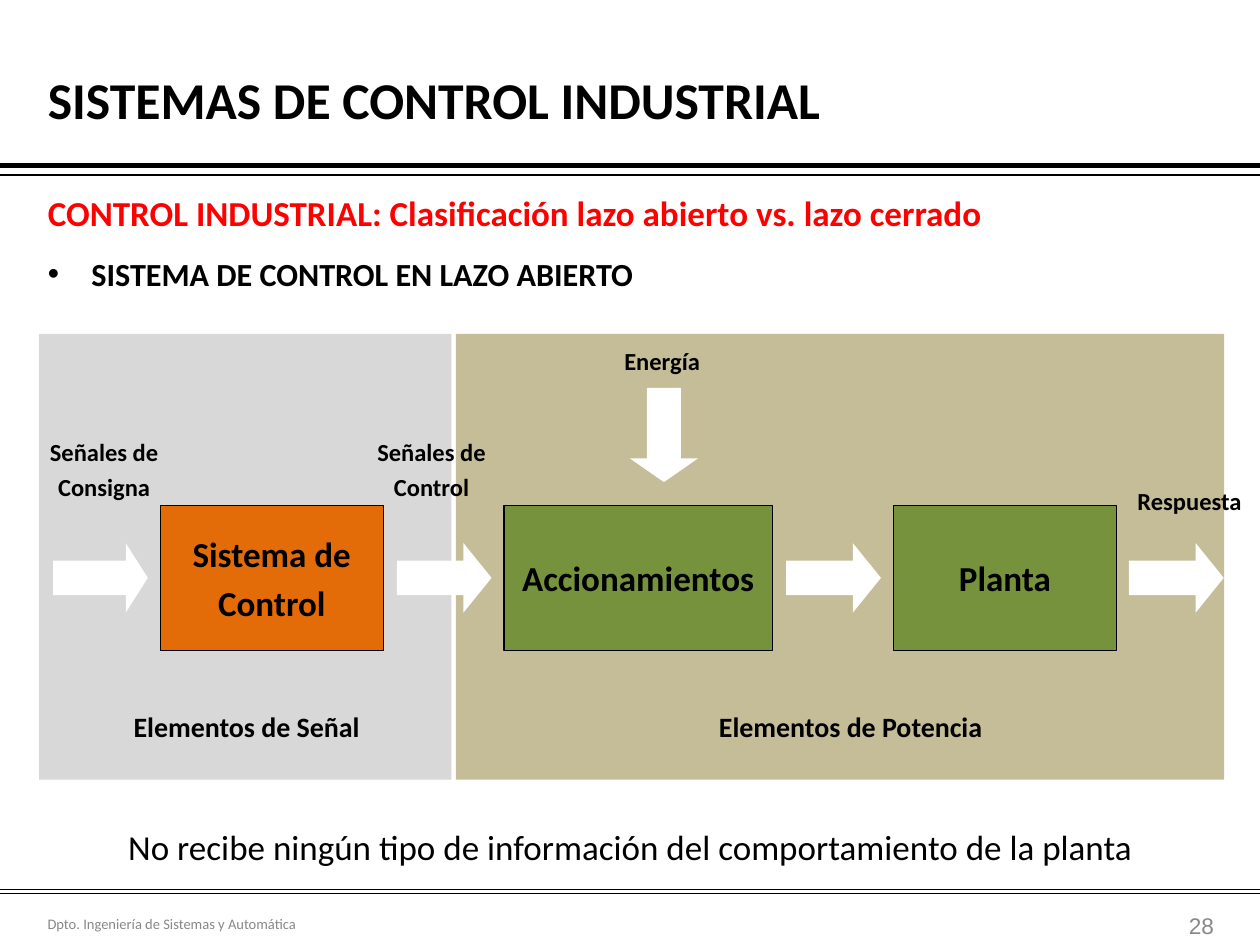
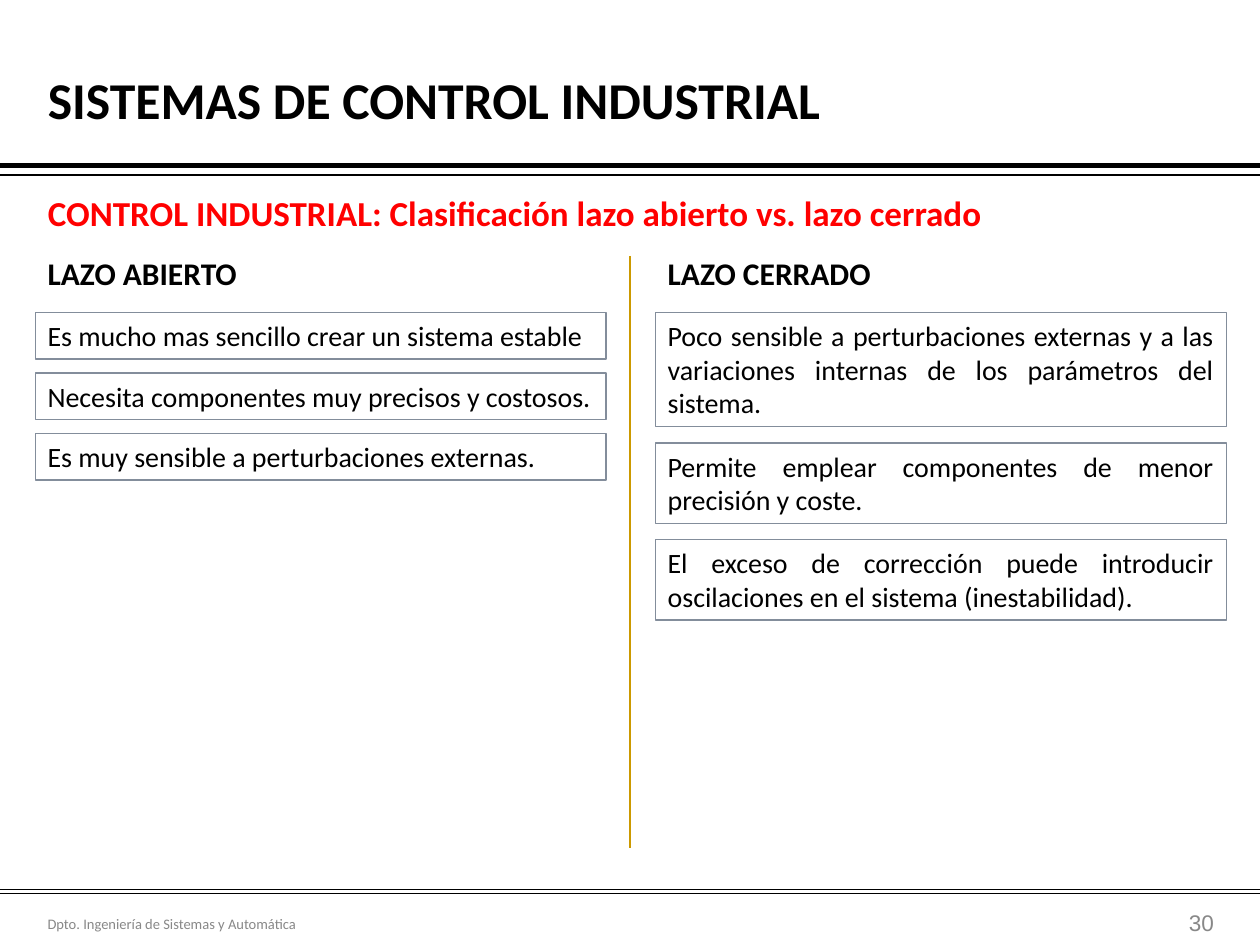
from lxml.etree import SubElement
from pptx import Presentation
from pptx.dml.color import RGBColor
from pptx.enum.shapes import MSO_CONNECTOR, MSO_SHAPE
from pptx.enum.text import MSO_ANCHOR, MSO_AUTO_SIZE, PP_ALIGN
from pptx.oxml.ns import qn
from pptx.util import Cm, Pt

BLACK, WHITE, RED, GREY = "000000", "FFFFFF", "FF0000", "888888"
SIGNAL_ZONE, POWER_ZONE = "D8D8D8", "C4BD97"
ORANGE, GREEN = "E36C09", "76923C"
CARD_BORDER, DIVIDER = "838D9B", "CC9900"
LEFT, WIDTH = 0.71, 24
RULES = ((3.33, 3), (3.53, 0.75), (17.93, 0.75), (18.01, 0.75))


def rgb(code):
    return RGBColor.from_string(code)


def lengths(*values):
    return [Cm(value) for value in values]


class Deck:
    """Holds the shared style and the slide being drawn."""

    def __init__(self):
        self.presentation = Presentation()
        self.presentation.slide_width = Cm(25.4)
        self.presentation.slide_height = Cm(19.05)
        self.slide = None

    def new_slide(self, layout, page, page_top):
        self.slide = self.presentation.slides.add_slide(
            self.presentation.slide_layouts[layout])
        # Shared title, subtitle, rules and footer
        self.placeholder(0, "SISTEMAS DE CONTROL INDUSTRIAL",
                         (LEFT, 0.74, WIDTH, 2.49), 29.5, anchor=MSO_ANCHOR.MIDDLE)
        self.placeholder(1, "CONTROL INDUSTRIAL: Clasificación lazo abierto vs. lazo cerrado",
                         (LEFT, 3.73, WIDTH, 1.09), 20, RED, bullet="")
        for y, weight in RULES:
            self.line((0, y), (25.4, y), BLACK, weight)
        self.label("Dpto. Ingeniería de Sistemas y Automática",
                   (LEFT, 18.11, 9.4, 1.02), 8.3, GREY, bold=False,
                   align=PP_ALIGN.LEFT, anchor=MSO_ANCHOR.MIDDLE)
        self.label(page, (22.71, page_top, 2.01, 0.71), 12.9, GREY, bold=False,
                   align=PP_ALIGN.RIGHT, anchor=MSO_ANCHOR.MIDDLE, font="Arial")

    def set_text(self, frame, text, size, color=BLACK, bold=True, align=PP_ALIGN.LEFT,
                 anchor=MSO_ANCHOR.TOP, font="Calibri", wrap=True):
        frame.text = text
        frame.auto_size = MSO_AUTO_SIZE.NONE
        frame.word_wrap = wrap
        frame.vertical_anchor = anchor
        for number, paragraph in enumerate(frame.paragraphs):
            paragraph.alignment = align
            paragraph.space_before = Pt(size * 0.2 if number else 0)
            for run in paragraph.runs:
                run.font.name = font
                run.font.size = Pt(size)
                run.font.bold = bold
                run.font.color.rgb = rgb(color)

    def placeholder(self, index, text, box, size, color=BLACK, bullet=None,
                    anchor=MSO_ANCHOR.TOP):
        holder = self.slide.placeholders[index]
        holder.left, holder.top, holder.width, holder.height = lengths(*box)
        self.set_text(holder.text_frame, text, size, color, anchor=anchor)
        if bullet is None:
            return
        # Hanging indent, with or without a bullet sign
        properties = holder.text_frame.paragraphs[0]._p.get_or_add_pPr()
        properties.set("marL", str(Cm(0.88)))
        properties.set("indent", str(-Cm(0.88)))
        if bullet:
            SubElement(properties, qn("a:buFont")).set("typeface", "Arial")
            SubElement(properties, qn("a:buChar")).set("char", bullet)
        else:
            SubElement(properties, qn("a:buNone"))

    def label(self, text, box, size, color=BLACK, align=PP_ALIGN.CENTER, **style):
        frame = self.slide.shapes.add_textbox(*lengths(*box)).text_frame
        self.set_text(frame, text, size, color, align=align, **style)

    def shape(self, box, fill=None, border=None, kind=MSO_SHAPE.RECTANGLE, head=None):
        shape = self.slide.shapes.add_shape(kind, *lengths(*box))
        shape.shadow.inherit = False
        if fill:
            shape.fill.solid()
            shape.fill.fore_color.rgb = rgb(fill)
        else:
            shape.fill.background()
        if border:
            shape.line.color.rgb = rgb(border)
            shape.line.width = Pt(0.75)
        else:
            shape.line.fill.background()
        if head:
            shape.adjustments[1] = head
        return shape

    def block(self, text, box, fill):
        self.set_text(self.shape(box, fill, BLACK).text_frame, text, 20,
                      align=PP_ALIGN.CENTER, anchor=MSO_ANCHOR.MIDDLE)

    def card(self, text, box):
        self.set_text(self.shape(box, border=CARD_BORDER).text_frame, text, 16,
                      bold=False, align=PP_ALIGN.JUSTIFY)

    def line(self, start, end, color, weight):
        connector = self.slide.shapes.add_connector(
            MSO_CONNECTOR.STRAIGHT, *lengths(*start, *end))
        connector.line.color.rgb = rgb(color)
        connector.line.width = Pt(weight)
        SubElement(connector._element.spPr, qn("a:effectLst"))


def open_loop(deck):
    deck.new_slide(layout=3, page="28", page_top=18.31)
    deck.placeholder(2, "SISTEMA DE CONTROL EN LAZO ABIERTO",
                     (LEFT, 5, WIDTH, 11.51), 18.4, bullet="•")
    # Zones
    deck.shape((9.19, 6.73, 15.49, 8.99), POWER_ZONE)
    deck.shape((0.79, 6.73, 8.31, 8.99), SIGNAL_ZONE)
    # Blocks, each with its incoming arrow
    stages = (("Sistema de\nControl", 3.23, 4.5, ORANGE, 0.317),
              ("Accionamientos", 10.16, 5.41, GREEN, 0.404),
              ("Planta", 18.01, 4.5, GREEN, 0.404))
    arrows = [(left - 2.16, head) for _, left, _, _, head in stages]
    for name, left, width, fill, _ in stages:
        deck.block(name, (left, 10.19, width, 2.92), fill)
    for left, head in arrows + [(22.76, 0.403)]:
        deck.shape((left, 10.95, 1.91, 1.4), WHITE, kind=MSO_SHAPE.RIGHT_ARROW, head=head)
    deck.shape((12.7, 7.82, 1.37, 1.9), WHITE, kind=MSO_SHAPE.DOWN_ARROW, head=0.348)
    # Signal and zone names
    for text, box, size in (
            ("Señales de\nConsigna", (0.74, 8.69, 2.72, 1.57), 14),
            ("Señales de\nControl", (7.34, 8.69, 2.72, 1.57), 14),
            ("Respuesta", (22.66, 9.68, 2.64, 0.86), 14),
            ("Energía", (12.32, 6.86, 2.06, 0.86), 14),
            ("Elementos de Señal", (2.41, 14.17, 5.13, 0.94), 16),
            ("Elementos de Potencia", (14.1, 14.17, 6.1, 0.94), 16)):
        deck.label(text, box, size, wrap=False)
    # Conclusion
    deck.label("No recibe ningún tipo de información del comportamiento de la planta",
               (LEFT, 16.51, WIDTH, 1.12), 20, bold=False)


def comparison(deck):
    deck.new_slide(layout=1, page="30", page_top=18.24)
    deck.line((12.7, 5.16), (12.7, 17.09), DIVIDER, 1)
    # Columns of cards: text and number of lines
    columns = (
        ("LAZO ABIERTO", LEFT, 4.37, 0.28, (
            ("Es mucho mas sencillo crear un sistema estable", 1),
            ("Necesita componentes muy precisos y costosos.", 1),
            ("Es muy sensible a perturbaciones externas.", 1))),
        ("LAZO CERRADO", 13.21, 4.65, 0.33, (
            ("Poco sensible a perturbaciones externas y a las variaciones internas "
             "de los parámetros del sistema.", 3),
            ("Permite emplear componentes de menor precisión y coste.", 2),
            ("El exceso de corrección puede introducir oscilaciones en el sistema "
             "(inestabilidad).", 2))))
    for heading, left, heading_width, gap, cards in columns:
        deck.label(heading, (left, 5, heading_width, 1.02), 18,
                   align=PP_ALIGN.LEFT, wrap=False)
        top = 6.3
        for text, line_count in cards:
            height = 0.26 + 0.68 * line_count
            deck.card(text, (left, top, 11.51, height))
            top += height + gap


def main():
    deck = Deck()
    open_loop(deck)
    comparison(deck)
    deck.presentation.save("out.pptx")


if __name__ == "__main__":
    main()
